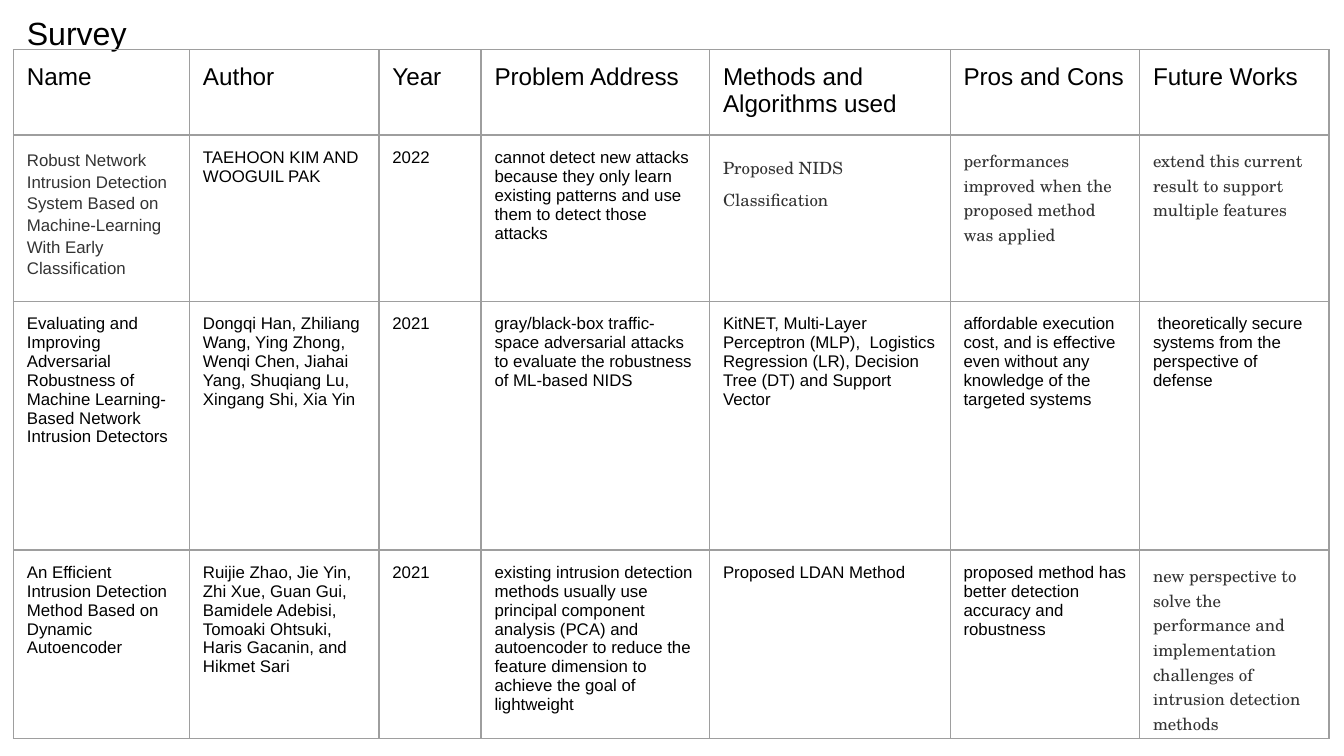
from lxml import etree
from pptx import Presentation
from pptx.dml.color import RGBColor
from pptx.enum.text import MSO_ANCHOR, MSO_AUTO_SIZE, PP_ALIGN
from pptx.oxml import parse_xml
from pptx.oxml.ns import nsdecls
from pptx.util import Inches, Pt

BLACK = RGBColor(0x00, 0x00, 0x00)
CHARCOAL = RGBColor(0x33, 0x33, 0x33)
GRID = RGBColor(0x9E, 0x9E, 0x9E)
PADDING = Inches(0.1)

# Text formats
TITLE = {"name": "Arial", "size": Pt(17.2), "color": BLACK}
HEADER = {"name": "Arial", "size": Pt(13), "color": BLACK}
BODY = {"name": "Arial", "size": Pt(9), "color": BLACK}
GRAY = {"name": "Arial", "size": Pt(9), "color": CHARCOAL}
SERIF = {"name": "TeX Gyre Schola", "size": Pt(9), "color": CHARCOAL}

COLUMN_WIDTHS = [1.31, 1.41, 0.76, 1.7, 1.79, 1.41, 1.41]
ROW_HEIGHTS = [0.54, 1.18, 1.85, 1.34]
SURVEY = [
    ["Name", "Author", "Year", "Problem Address", "Methods and Algorithms used",
     "Pros and Cons", "Future Works"],
    ["Robust Network Intrusion Detection System Based on Machine-Learning With Early Classification",
     "TAEHOON KIM AND WOOGUIL PAK",
     "2022",
     "cannot detect new attacks because they only learn existing patterns and use them to detect those attacks",
     "Proposed NIDS Classification",
     "performances improved when the proposed method was applied",
     "extend this current result to support multiple features"],
    ["Evaluating and Improving Adversarial Robustness of Machine Learning-Based Network Intrusion Detectors",
     "Dongqi Han, Zhiliang Wang, Ying Zhong, Wenqi Chen, Jiahai Yang, Shuqiang Lu, Xingang Shi, Xia Yin",
     "2021",
     "gray/black-box traffic-space adversarial attacks to evaluate the robustness of ML-based NIDS",
     "KitNET, Multi-Layer Perceptron (MLP),  Logistics Regression (LR), Decision Tree (DT) and Support Vector",
     "affordable execution cost, and is effective even without any knowledge of the targeted systems",
     " theoretically secure systems from the perspective of defense"],
    ["An Efficient Intrusion Detection Method Based on Dynamic Autoencoder",
     "Ruijie Zhao, Jie Yin, Zhi Xue, Guan Gui, Bamidele Adebisi, Tomoaki Ohtsuki, Haris Gacanin, and Hikmet Sari",
     "2021",
     "existing intrusion detection methods usually use principal component analysis (PCA) and autoencoder "
     "to reduce the feature dimension to achieve the goal of lightweight",
     "Proposed LDAN Method",
     "proposed method has better detection accuracy and robustness",
     "new perspective to solve the performance and implementation challenges of intrusion detection methods"],
]
# Cells that differ from the body format, by (row, column)
SPECIAL_FORMATS = {(1, 0): GRAY, (1, 4): SERIF, (1, 5): SERIF, (1, 6): SERIF, (3, 6): SERIF}
LINE_SPACINGS = {(1, 0): 1.15, (1, 4): 1.3}


def write_text(para, text, text_format):
    span = para.add_run()
    span.text = text
    for name, value in text_format.items():
        if name == "color":
            span.font.color.rgb = value
        else:
            setattr(span.font, name, value)


def set_padding(target):
    for side in ("left", "right", "top", "bottom"):
        setattr(target, f"margin_{side}", PADDING)


def draw_borders(cell):
    properties = cell._tc.get_or_add_tcPr()
    for index, side in enumerate("LRTB"):
        line = parse_xml(f'<a:ln{side} {nsdecls("a")} w="{Pt(0.75)}"/>')
        fill = etree.SubElement(line, line.tag.replace(f"ln{side}", "solidFill"))
        etree.SubElement(fill, line.tag.replace(f"ln{side}", "srgbClr"), val=str(GRID))
        properties.insert(index, line)


def place_title(page, left, top, width, height):
    box = page.shapes.title
    box.left, box.top, box.width, box.height = map(Inches, (left, top, width, height))
    frame = box.text_frame
    set_padding(frame)
    frame.word_wrap = True
    frame.auto_size = MSO_AUTO_SIZE.SHAPE_TO_FIT_TEXT
    frame.vertical_anchor = MSO_ANCHOR.TOP
    para = frame.paragraphs[0]
    para.alignment = PP_ALIGN.LEFT
    write_text(para, "Survey", TITLE)


def place_survey(page, left, top):
    table = page.shapes.add_table(
        len(ROW_HEIGHTS), len(COLUMN_WIDTHS), Inches(left), Inches(top),
        Inches(sum(COLUMN_WIDTHS)), Inches(sum(ROW_HEIGHTS))).table
    table.first_row = table.horz_banding = False
    for column, width in zip(table.columns, COLUMN_WIDTHS):
        column.width = Inches(width)
    for row, height in zip(table.rows, ROW_HEIGHTS):
        row.height = Inches(height)

    # Cell text, padding and grid lines
    for r, texts in enumerate(SURVEY):
        for c, text in enumerate(texts):
            cell = table.cell(r, c)
            cell.fill.background()
            set_padding(cell)
            draw_borders(cell)
            para = cell.text_frame.paragraphs[0]
            para.line_spacing = LINE_SPACINGS.get((r, c), 1.0)
            default = HEADER if r == 0 else BODY
            write_text(para, text, SPECIAL_FORMATS.get((r, c), default))


def main():
    deck = Presentation()
    # Widescreen, 16:9
    deck.slide_width = Inches(10)
    deck.slide_height = deck.slide_width * 9 // 16
    page = deck.slides.add_slide(deck.slide_layouts[5])
    place_title(page, 0.1, 0, 9.32, 0.49)
    place_survey(page, 0.1, 0.37)
    deck.save("out.pptx")


if __name__ == "__main__":
    main()
